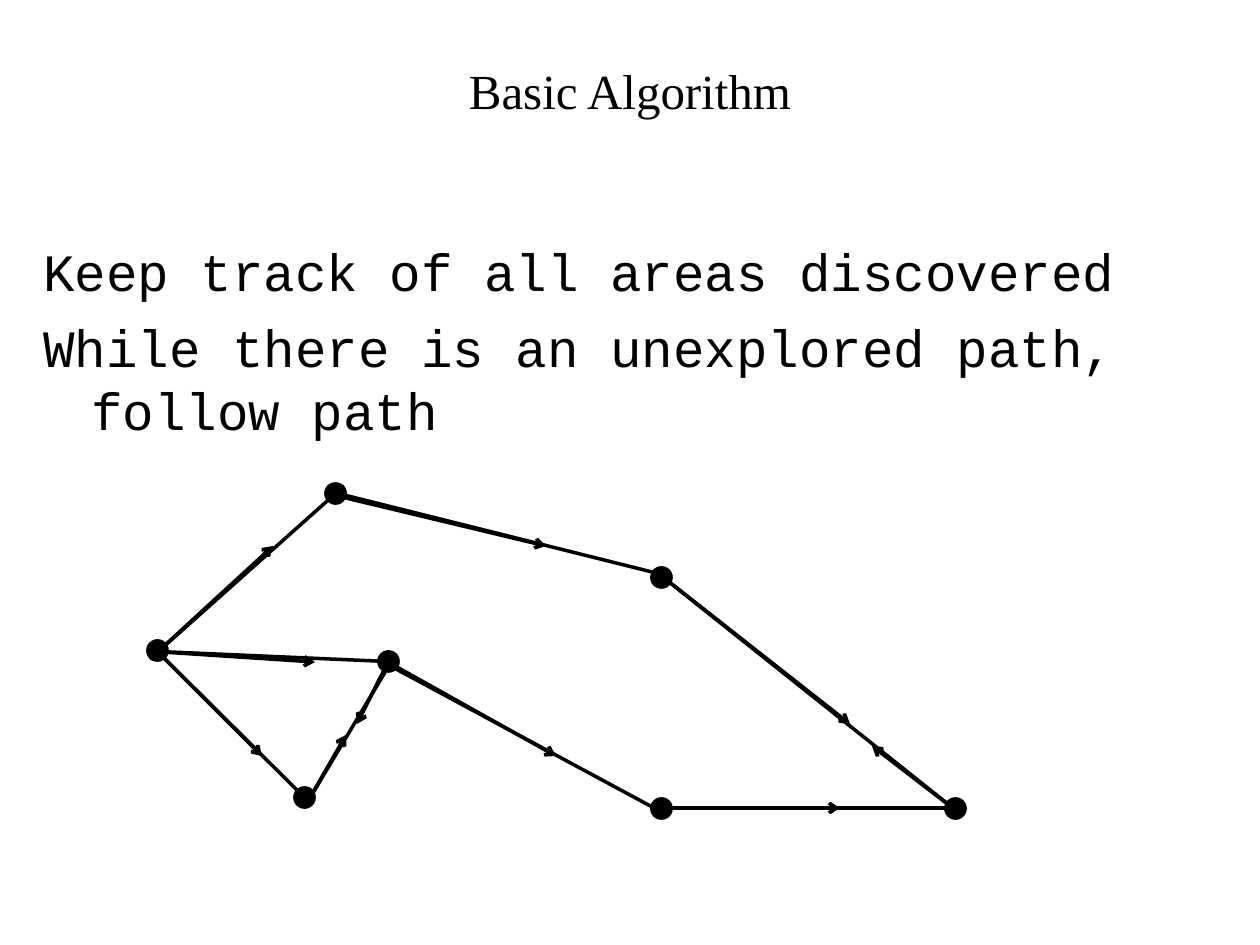
from dataclasses import dataclass

from lxml.etree import SubElement
from pptx import Presentation
from pptx.dml.color import RGBColor
from pptx.enum.shapes import MSO_CONNECTOR as CONN, MSO_SHAPE as SHAPE
from pptx.enum.text import MSO_ANCHOR as ANCHOR, PP_ALIGN as ALIGN
from pptx.oxml.ns import qn
from pptx.util import Emu, Pt

SCALE = 914400 / 126


@dataclass(frozen=True)
class Theme:
    """Colours, fonts and sizes of the slide."""
    ink: RGBColor = RGBColor(0, 0, 0)
    title_font: str = "Times New Roman"
    title_size: int = 28
    body_font: str = "Courier New"
    body_size: int = 30
    para_gap: float = 7.5
    outline: int = 1
    stroke: int = 2


THEME = Theme()
DOT = 21
HANG = 48

STEPS = [
    "Keep track of all areas discovered",
    "While there is an unexplored path, follow path",
]
AREAS = [(147, 640), (294, 787), (378, 651), (325, 483),
         (651, 567), (651, 798), (945, 798)]
PATHS = [
    (150, 659, 344, 486), (147, 651, 399, 662), (150, 644, 312, 805),
    (304, 808, 396, 654), (672, 577, 336, 493), (669, 816, 396, 669),
    (963, 816, 654, 570), (966, 808, 651, 808),
]
MOVES = [
    (150, 659, 273, 546), (147, 651, 315, 662), (150, 644, 262, 756),
    (325, 493, 546, 546), (388, 662, 357, 724), (304, 808, 346, 735),
    (388, 662, 556, 756), (654, 570, 850, 724), (651, 808, 840, 808),
    (963, 816, 872, 746),
]


def px(n):
    """Turn pixels into EMU."""
    return Emu(round(n * SCALE))


def add_box(slide, x, y, w, h):
    """Add a wrapping text box and return its text frame."""
    tf = slide.shapes.add_textbox(px(x), px(y), px(w), px(h)).text_frame
    tf.word_wrap = True
    return tf


def add_run(p, text, font, size):
    """Add one styled run to a paragraph."""
    r = p.add_run()
    r.text = text
    r.font.name = font
    r.font.size = Pt(size)
    r.font.color.rgb = THEME.ink


def add_title(slide, text):
    """Add the centred title."""
    tf = add_box(slide, 94, 53, 1072, 73)
    tf.vertical_anchor = ANCHOR.MIDDLE
    p = tf.paragraphs[0]
    p.alignment = ALIGN.CENTER
    add_run(p, text, THEME.title_font, THEME.title_size)


def add_steps(slide, steps):
    """Add the algorithm steps with hanging indents."""
    tf = add_box(slide, 31, 220, 1166, 221)
    tf.margin_top = px(19)
    for i, step in enumerate(steps):
        p = tf.add_paragraph() if i else tf.paragraphs[0]
        if i:
            p.space_before = Pt(THEME.para_gap)
        pr = p._p.get_or_add_pPr()
        pr.set("marL", str(px(HANG)))
        pr.set("indent", str(-px(HANG)))
        add_run(p, step, THEME.body_font, THEME.body_size)


def add_area(slide, x, y):
    """Add a round dot for one area."""
    s = slide.shapes.add_shape(SHAPE.OVAL, px(x), px(y), px(DOT), px(DOT))
    s.shadow.inherit = False
    s.fill.solid()
    s.fill.fore_color.rgb = THEME.ink
    s.line.color.rgb = THEME.ink
    s.line.width = Pt(THEME.outline)


def add_path(slide, ends, arrow=False):
    """Add a straight path, with an arrowhead at its end if wanted."""
    s = slide.shapes.add_connector(CONN.STRAIGHT, *map(px, ends))
    s.line.color.rgb = THEME.ink
    s.line.width = Pt(THEME.stroke)
    if arrow:
        SubElement(s.line._get_or_add_ln(), qn("a:tailEnd"), type="arrow")
    SubElement(s._element.spPr, qn("a:effectLst"))


def main():
    """Build the slide and save it."""
    prs = Presentation()
    prs.slide_width, prs.slide_height = px(1260), px(945)
    slide = prs.slides.add_slide(prs.slide_layouts[6])
    add_title(slide, "Basic Algorithm")
    add_steps(slide, STEPS)
    for x, y in AREAS:
        add_area(slide, x, y)
    for ends in PATHS:
        add_path(slide, ends)
    for ends in MOVES:
        add_path(slide, ends, arrow=True)
    prs.save("out.pptx")


if __name__ == "__main__":
    main()
